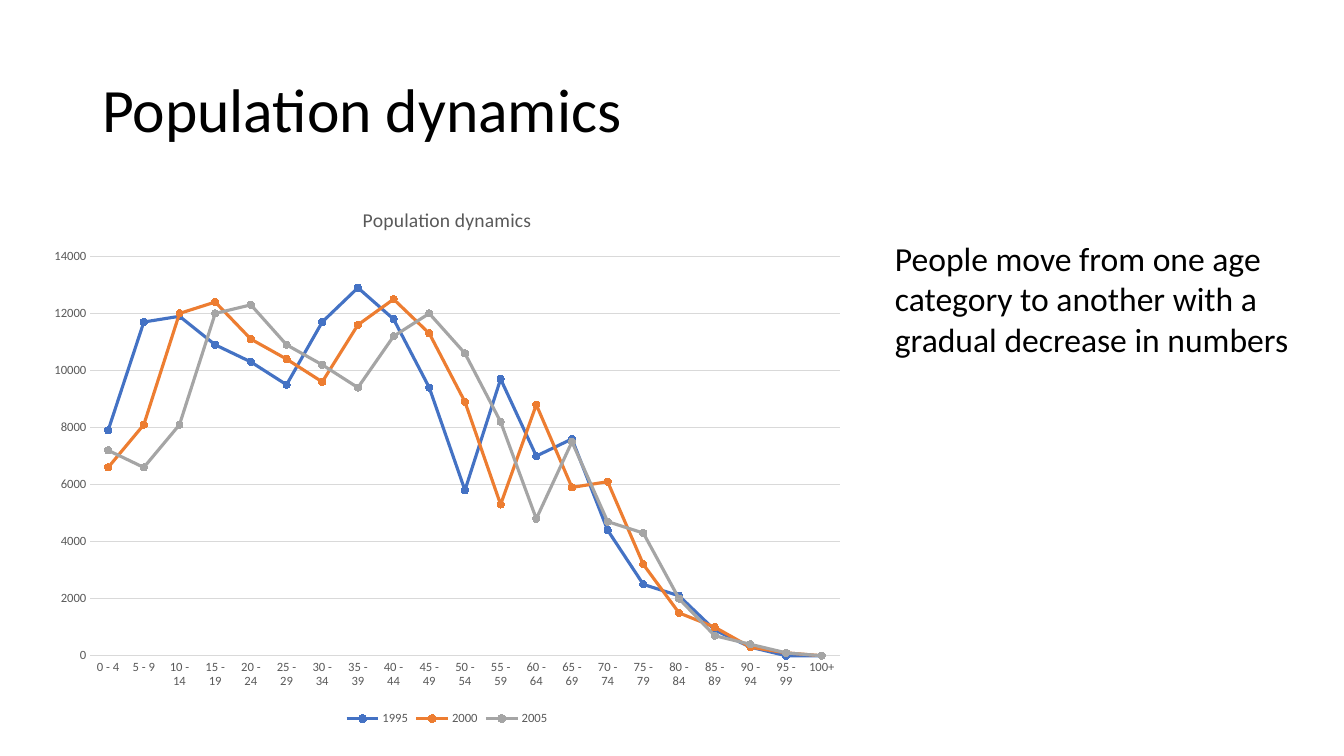
import pptx
import pptx.chart.data
import pptx.dml.color
import pptx.enum.chart
import pptx.enum.text
import pptx.util
from dataclasses import dataclass

SCALE = 914400 / 100.8  # EMU per pixel


@dataclass(frozen=True)
class Theme:
    face: str = "Calibri"
    ink: str = "000000"
    soft: str = "595959"
    grid: str = "D9D9D9"
    lines: tuple = ("4472C4", "ED7D31", "A5A5A5")
    title: int = 44
    body: int = 24
    head: int = 14
    label: int = 9


theme = Theme()
rgb = pptx.dml.color.RGBColor.from_string


def box(*sides):
    return [pptx.util.Emu(round(side * SCALE)) for side in sides]


def style(font, size, color):
    font.name = theme.face
    font.size = pptx.util.Pt(size)
    font.bold = False
    font.color.rgb = rgb(color)


deck = pptx.Presentation()
deck.slide_width, deck.slide_height = box(1344, 756)
slide = deck.slides.add_slide(deck.slide_layouts[5])

# Title
title = slide.shapes.title
title.left, title.top, title.width, title.height = box(92, 40, 1159, 146)
title.text_frame.text = "Population dynamics"
title.text_frame.vertical_anchor = pptx.enum.text.MSO_ANCHOR.MIDDLE
para = title.text_frame.paragraphs[0]
para.alignment = pptx.enum.text.PP_ALIGN.LEFT
para.line_spacing = 0.9
style(para.font, theme.title, theme.ink)

# Population by age group and year
data = pptx.chart.data.CategoryChartData(number_format="General")
data.categories = [f"{age} - {age + 4}" for age in range(0, 100, 5)] + ["100+"]
counts = {
    "1995": [7900, 11700, 11900, 10900, 10300, 9500, 11700, 12900, 11800, 9400, 5800,
             9700, 7000, 7600, 4400, 2500, 2100, 900, 300, 0, 0],
    "2000": [6600, 8100, 12000, 12400, 11100, 10400, 9600, 11600, 12500, 11300, 8900,
             5300, 8800, 5900, 6100, 3200, 1500, 1000, 300, 100, 0],
    "2005": [7200, 6600, 8100, 12000, 12300, 10900, 10200, 9400, 11200, 12000, 10600,
             8200, 4800, 7500, 4700, 4300, 2000, 700, 400, 100, 0],
}
for year, values in counts.items():
    data.add_series(year, values)

# Line chart
kind = pptx.enum.chart.XL_CHART_TYPE.LINE_MARKERS
chart = slide.shapes.add_chart(kind, *box(38, 186, 818, 544), data).chart
style(chart.font, theme.label, theme.soft)
chart.has_title = True
chart.chart_title.include_in_layout = False
chart.chart_title.text_frame.text = "Population dynamics"
style(chart.chart_title.text_frame.paragraphs[0].font, theme.head, theme.soft)
chart.has_legend = True
chart.legend.position = pptx.enum.chart.XL_LEGEND_POSITION.BOTTOM
chart.legend.include_in_layout = False
style(chart.legend.font, theme.label, theme.soft)

# Axes
for axis in (chart.category_axis, chart.value_axis):
    axis.major_tick_mark = pptx.enum.chart.XL_TICK_MARK.NONE
    axis.minor_tick_mark = pptx.enum.chart.XL_TICK_MARK.NONE
    style(axis.tick_labels.font, theme.label, theme.soft)
chart.value_axis.minimum_scale = 0
chart.value_axis.maximum_scale = 14000
chart.value_axis.major_unit = 2000
chart.value_axis.format.line.fill.background()
for rule in (chart.category_axis, chart.value_axis.major_gridlines):
    rule.format.line.color.rgb = rgb(theme.grid)
    rule.format.line.width = pptx.util.Pt(0.75)

# Series
chart.plots[0].vary_by_categories = False
for series, color in zip(chart.plots[0].series, theme.lines):
    series.smooth = False
    series.format.line.color.rgb = rgb(color)
    series.format.line.width = pptx.util.Pt(2.25)
    mark = series.marker
    mark.style = pptx.enum.chart.XL_MARKER_STYLE.CIRCLE
    mark.size = 5
    mark.format.fill.solid()
    mark.format.fill.fore_color.rgb = rgb(color)
    mark.format.line.color.rgb = rgb(color)

# Remark
frame = slide.shapes.add_textbox(*box(885, 233, 443, 132)).text_frame
frame.word_wrap = True
frame.auto_size = pptx.enum.text.MSO_AUTO_SIZE.SHAPE_TO_FIT_TEXT
frame.text = "People move from one age category to another with a gradual decrease in numbers"
style(frame.paragraphs[0].font, theme.body, theme.ink)

deck.save("out.pptx")
